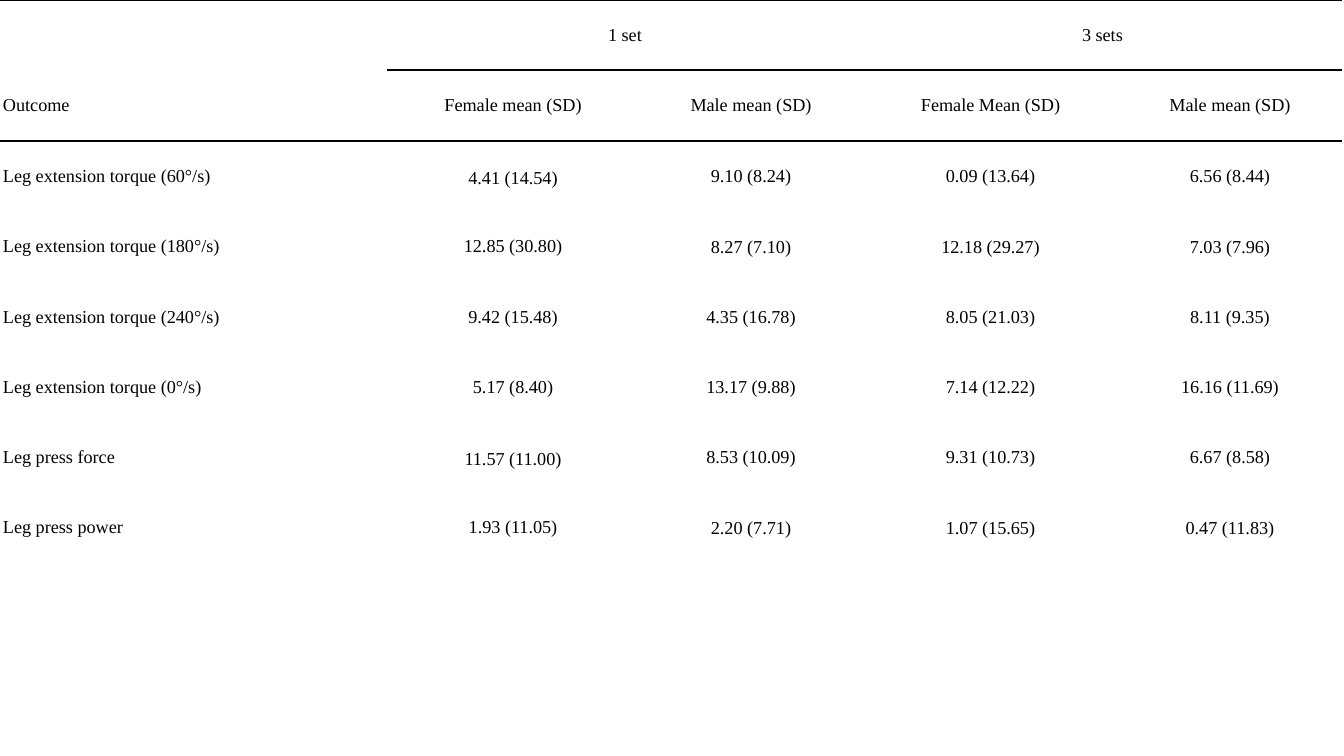
import pptx
import pptx.util
import pptx.dml.color
import pptx.enum.text
import pptx.oxml
import pptx.oxml.ns

PX = 914400 / 100.8
COLS = [387, 252, 224, 255, 224]
HEIGHT = 563
ROWS = [
    ["", "1 set", "", "3 sets", ""],
    ["Outcome", "Female mean (SD)", "Male mean (SD)", "Female Mean (SD)", "Male mean (SD)"],
    ["Leg extension torque (60°/s)", "4.41 (14.54)", "9.10 (8.24)", "0.09 (13.64)", "6.56 (8.44)"],
    ["Leg extension torque (180°/s)", "12.85 (30.80)", "8.27 (7.10)", "12.18 (29.27)", "7.03 (7.96)"],
    ["Leg extension torque (240°/s)", "9.42 (15.48)", "4.35 (16.78)", "8.05 (21.03)", "8.11 (9.35)"],
    ["Leg extension torque (0°/s)", "5.17 (8.40)", "13.17 (9.88)", "7.14 (12.22)", "16.16 (11.69)"],
    ["Leg press force", "11.57 (11.00)", "8.53 (10.09)", "9.31 (10.73)", "6.67 (8.58)"],
    ["Leg press power", "1.93 (11.05)", "2.20 (7.71)", "1.07 (15.65)", "0.47 (11.83)"],
]
LOW_CELLS = [(2, 1), (6, 1)]
MARGINS = ["margin_left", "margin_top", "margin_right", "margin_bottom"]
FONT = {"name": "Times New Roman", "size": pptx.util.Pt(13)}
NO_STYLE = "{2D5ABB26-0587-4C30-8999-92F81FD0307C}"


def px(n):
    return pptx.util.Emu(round(n * PX))


def color(value):
    return pptx.dml.color.RGBColor.from_string(value)


prs = pptx.Presentation()
prs.slide_width, prs.slide_height = px(1344), px(756)
s = prs.slides.add_slide(prs.slide_layouts[6])

tb = s.shapes.add_table(len(ROWS), len(COLS), 0, 0, px(sum(COLS)), px(HEIGHT)).table
tb.first_row = tb.horz_banding = False
tb._tbl.tblPr[0].text = NO_STYLE
for col, width in zip(tb.columns, COLS):
    col.width = px(width)
edges = [round(i * HEIGHT / len(ROWS)) for i in range(len(ROWS) + 1)]
for row, top, bottom in zip(tb.rows, edges, edges[1:]):
    row.height = px(bottom - top)

for i, texts in enumerate(ROWS):
    for j, text in enumerate(texts):
        c = tb.cell(i, j)
        if i < 2 or j == 0:
            margins = [3, 2, 3, 2]
        elif (i, j) in LOW_CELLS:
            margins = [1, 7, 1, 2]
        elif j == 1:
            margins = [1, 2, 1, 2]
        else:
            margins = [1, 1, 1, 0]
        for name, n in zip(MARGINS, margins):
            setattr(c, name, px(n))
        c.vertical_anchor = pptx.enum.text.MSO_ANCHOR.MIDDLE

        ruled = {
            "lnT": i in (0, 2) or (i == 1 and j > 0),
            "lnB": i == 1 or (i == 0 and j > 0),
        }
        for tag in ["lnL", "lnR", "lnT", "lnB"]:
            paint = "<a:noFill/>"
            if ruled.get(tag):
                paint = '<a:solidFill><a:srgbClr val="000000"/></a:solidFill>'
            c._tc.get_or_add_tcPr().append(pptx.oxml.parse_xml(
                f'<a:{tag} {pptx.oxml.ns.nsdecls("a")} w="12700">{paint}</a:{tag}>'))
        c.fill.background()

        p = c.text_frame.paragraphs[0]
        align = pptx.enum.text.PP_ALIGN
        p.alignment = align.CENTER if j else align.LEFT
        if text:
            r = p.add_run()
            r.text = text
            for name, value in FONT.items():
                setattr(r.font, name, value)
            r.font.color.rgb = color("000000")

for j in (1, 3):
    tb.cell(0, j).merge(tb.cell(0, j + 1))

prs.save("out.pptx")
